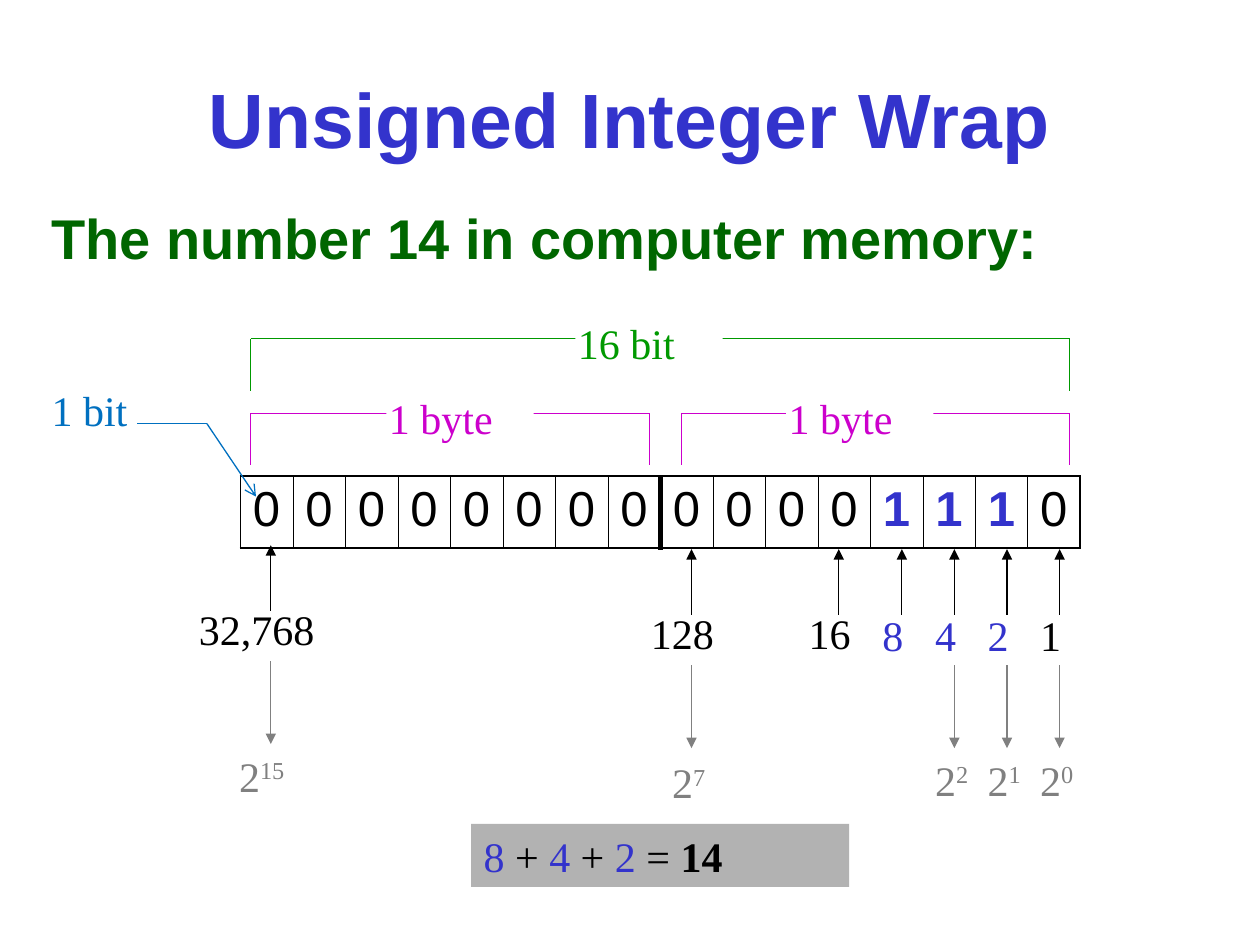
from lxml import etree
from pptx import Presentation
from pptx.dml.color import RGBColor
from pptx.enum.shapes import MSO_CONNECTOR, MSO_SHAPE
from pptx.enum.text import MSO_ANCHOR, PP_ALIGN
from pptx.oxml.ns import qn
from pptx.util import Cm, Pt

LINE = MSO_CONNECTOR.STRAIGHT
RECT = MSO_SHAPE.RECTANGLE
TOP, MIDDLE = MSO_ANCHOR.TOP, MSO_ANCHOR.MIDDLE
LEFT, CENTER = PP_ALIGN.LEFT, PP_ALIGN.CENTER
SANS, SERIF = "Arial", "Times New Roman"
HUES = {
    "black": "000000", "white": "FFFFFF", "blue": "3333CC", "sky": "0070C0",
    "green": "009900", "dark": "006600", "pink": "CC00CC", "gray": "808080",
    "silver": "B2B2B2",
}
BITS = "0000000000001110"
STEP = 1.06
WIDE, THIN = (0.25, 0.13), (0.05, 0)
PLACES = [
    (0, "1", "black", 0.64, True), (1, "2", "blue", 0.64, True),
    (2, "4", "blue", 0.64, True), (3, "8", "blue", 0.64, False),
    (4, "16", "black", 0.86, False), (7, "128", "black", 1.07, True),
    (15, "32,768", "black", 1.7, True),
]
SUM = [("8", "blue"), (" + ", "black"), ("4", "blue"), (" + ", "black"),
       ("2", "blue"), (" = ", "black")]


def tint(name):
    """Return the named colour."""
    return RGBColor.from_string(HUES[name])


def write(para, text, size=24, face=SERIF, hue="black", bold=False, sup=False):
    """Add a formatted run to a paragraph."""
    run = para.add_run()
    run.text = text
    font = run.font
    font.size, font.name, font.bold = Pt(size), face, bold
    font.color.rgb = tint(hue)
    if sup:
        run._r.get_or_add_rPr().set("baseline", "30000")


def frame(slide, box, pad=WIDE, fill=None):
    """Add a text area, filled or plain, and return its paragraph."""
    spot = [Cm(n) for n in box]
    if fill:
        area = slide.shapes.add_shape(RECT, *spot)
        area.shadow.inherit = False
        area.fill.solid()
        area.fill.fore_color.rgb = tint(fill)
        area.line.fill.background()
    else:
        area = slide.shapes.add_textbox(*spot)
    body = area.text_frame
    body.word_wrap = True
    body.vertical_anchor = TOP
    body.margin_left = body.margin_right = Cm(pad[0])
    body.margin_top = body.margin_bottom = Cm(pad[1])
    para = body.paragraphs[0]
    para.alignment = LEFT
    return para


def rule(slide, start, end, hue="black", width=0.75, head=None):
    """Draw a line, with an arrowhead at its end if asked."""
    line = slide.shapes.add_connector(LINE, *[Cm(n) for n in (*start, *end)])
    line.line.color.rgb = tint(hue)
    line.line.width = Pt(width)
    if head:
        etree.SubElement(line.line._get_or_add_ln(), qn("a:tailEnd"), type=head)
    etree.SubElement(line._element.spPr, qn("a:effectLst"))


def edge(cell, side, width):
    """Give one side of a cell a black border."""
    line = etree.SubElement(cell._tc.get_or_add_tcPr(), qn("a:" + side),
                            w=str(Pt(width)))
    fill = etree.SubElement(line, qn("a:solidFill"))
    etree.SubElement(fill, qn("a:srgbClr"), val=HUES["black"])


def heading(slide, box):
    """Fill the title and place the line below it."""
    left, top, width, height = box
    title = slide.shapes.title
    title.left, title.top = Cm(left), Cm(top)
    title.width, title.height = Cm(width), Cm(height)
    title.text_frame.vertical_anchor = MIDDLE
    para = title.text_frame.paragraphs[0]
    para.alignment = CENTER
    write(para, "Unsigned Integer Wrap", size=44, face=SANS, hue="blue", bold=True)
    lead = frame(slide, (left + 0.79, top + height, 22.23, 1.63))
    write(lead, "The number 14 in computer memory:", size=32, face=SANS,
          hue="dark", bold=True)


def memory(slide, box):
    """Build the row of bits, split into two bytes."""
    left, top, width, height = box
    table = slide.shapes.add_table(1, len(BITS), *[Cm(n) for n in box]).table
    table.first_row = table.horz_banding = False
    last = len(BITS) - 1
    for col, bit in enumerate(BITS):
        table.columns[col].width = Cm(width / len(BITS))
        cell = table.cell(0, col)
        cell.margin_left, cell.margin_right = Cm(0.25), Cm(0.1)
        one = bit == "1"
        write(cell.text_frame.paragraphs[0], bit, size=28, face=SANS,
              hue="blue" if one else "black", bold=one)
        edge(cell, "lnL", 0.45 if col else 1.08)
        edge(cell, "lnR", 0.45 if col < last else 1.08)
        edge(cell, "lnT", 1.08)
        edge(cell, "lnB", 1.08)
        cell.fill.background()
    half = left + width / 2
    rule(slide, (half, top), (half, top + height + 0.03), width=3)


def bracket(slide, box, text, shift, hue):
    """Draw a bracket open at the bottom, with a label on its bar."""
    left, top, width, height = box
    right, base = left + width, top + height
    for side in (left, right):
        rule(slide, (side, top), (side, base), hue)
    rule(slide, (left, top), (right, top), hue)
    para = frame(slide, (left + shift, top - 0.42, 2.97, 1.02), THIN, "white")
    write(para, text, hue=hue)


def values(slide, box):
    """Mark place values and powers of two, counting bits from the right."""
    left, top, width, height = box
    for bit, text, hue, shift, deep in PLACES:
        x = left + width - bit * STEP - (0.21 if bit == 4 else 0)
        y = top - (0.08 if bit == 15 else 0)
        rule(slide, (x, y + 1.32), (x, y), head="triangle")
        drop = 1.09 if len(text) == 1 else 1.05
        para = frame(slide, (x - shift, y + drop, 2 * shift + 0.5, 1.27))
        write(para, text, hue=hue)
        if deep:
            rule(slide, (x, y + 2.34), (x, y + 4.01), "gray", head="triangle")
            power = frame(slide, (x - (0.89 if bit == 15 else 0.64),
                                  y + (4.06 if bit == 7 else 4.01), 1.91, 1.27))
            write(power, "2", hue="gray")
            write(power, str(bit), hue="gray", sup=True)


def pointer(slide, box):
    """Label a single bit and point to it."""
    left, top, width, height = box
    bend = (left + 3.18, top + 0.79)
    rule(slide, bend, (left + width, top + height), "sky", head="arrow")
    rule(slide, bend, (left + 1.78, top + 0.79), "sky")
    write(frame(slide, (left, top, 2.97, 1.02), THIN), "1 bit", hue="sky")


def total(slide, box):
    """Place the sum of the set bits on a grey bar."""
    para = frame(slide, box, fill="silver")
    for text, hue in SUM:
        write(para, text, hue=hue)
    write(para, "14", bold=True)


def main():
    """Build and save the slide."""
    deck = Presentation()
    deck.slide_width, deck.slide_height = Cm(25.4), Cm(19.05)
    slide = deck.slides.add_slide(deck.slide_layouts[5])
    heading(slide, (0, 0.79, 25.4, 3.18))
    memory(slide, (4.85, 9.6, 16.94, 1.45))
    values(slide, (4.85, 11.07, 16.51, 5.28))
    bracket(slide, (5.05, 8.33, 8.05, 1.05), "1 byte", 2.74, "pink")
    bracket(slide, (13.74, 8.33, 7.82, 1.05), "1 byte", 2.11, "pink")
    bracket(slide, (5.05, 6.83, 16.51, 1.05), "16 bit", 6.55, "green")
    total(slide, (9.5, 16.61, 7.62, 1.27))
    pointer(slide, (0.99, 7.75, 4.17, 2.26))
    deck.save("out.pptx")


if __name__ == "__main__":
    main()
